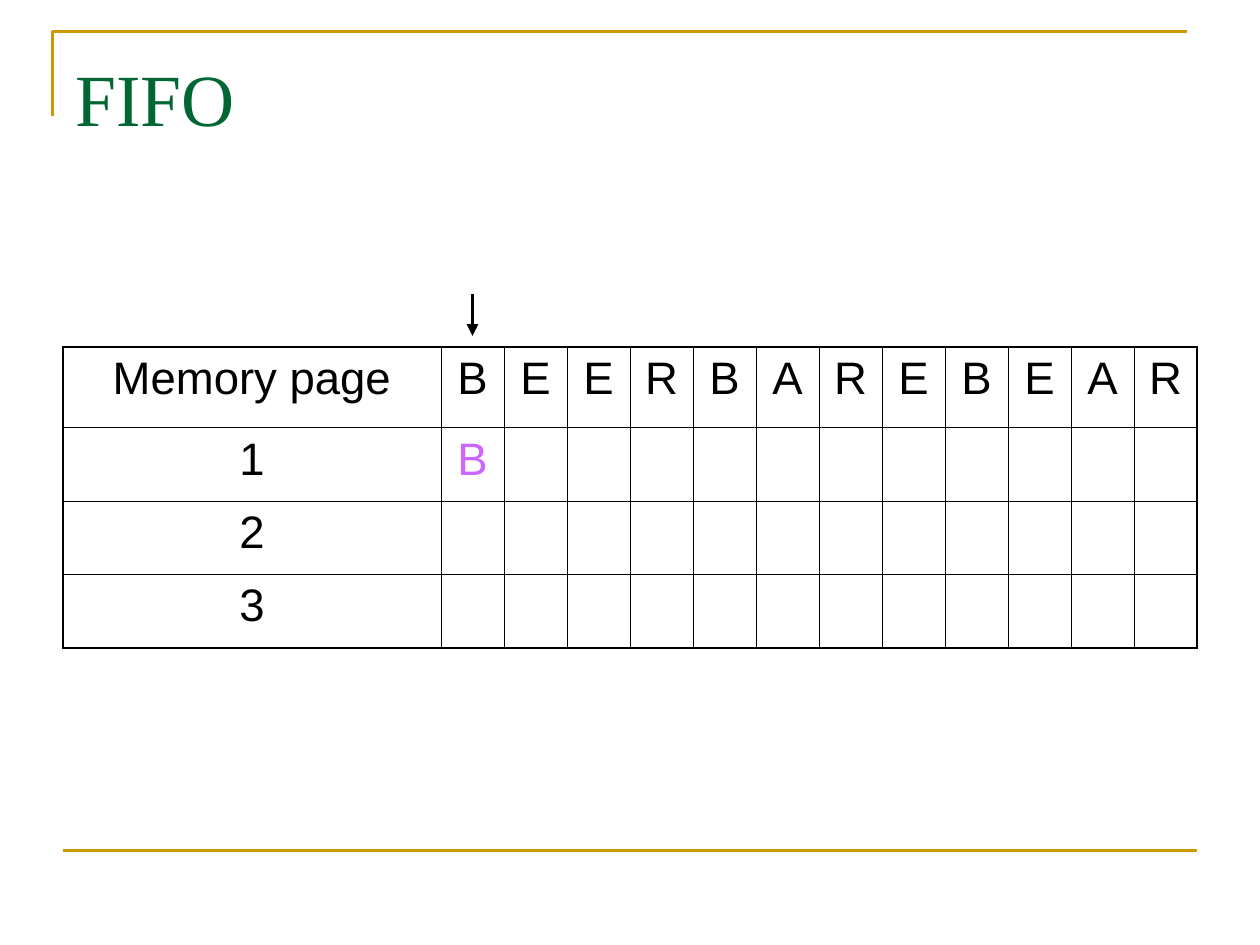
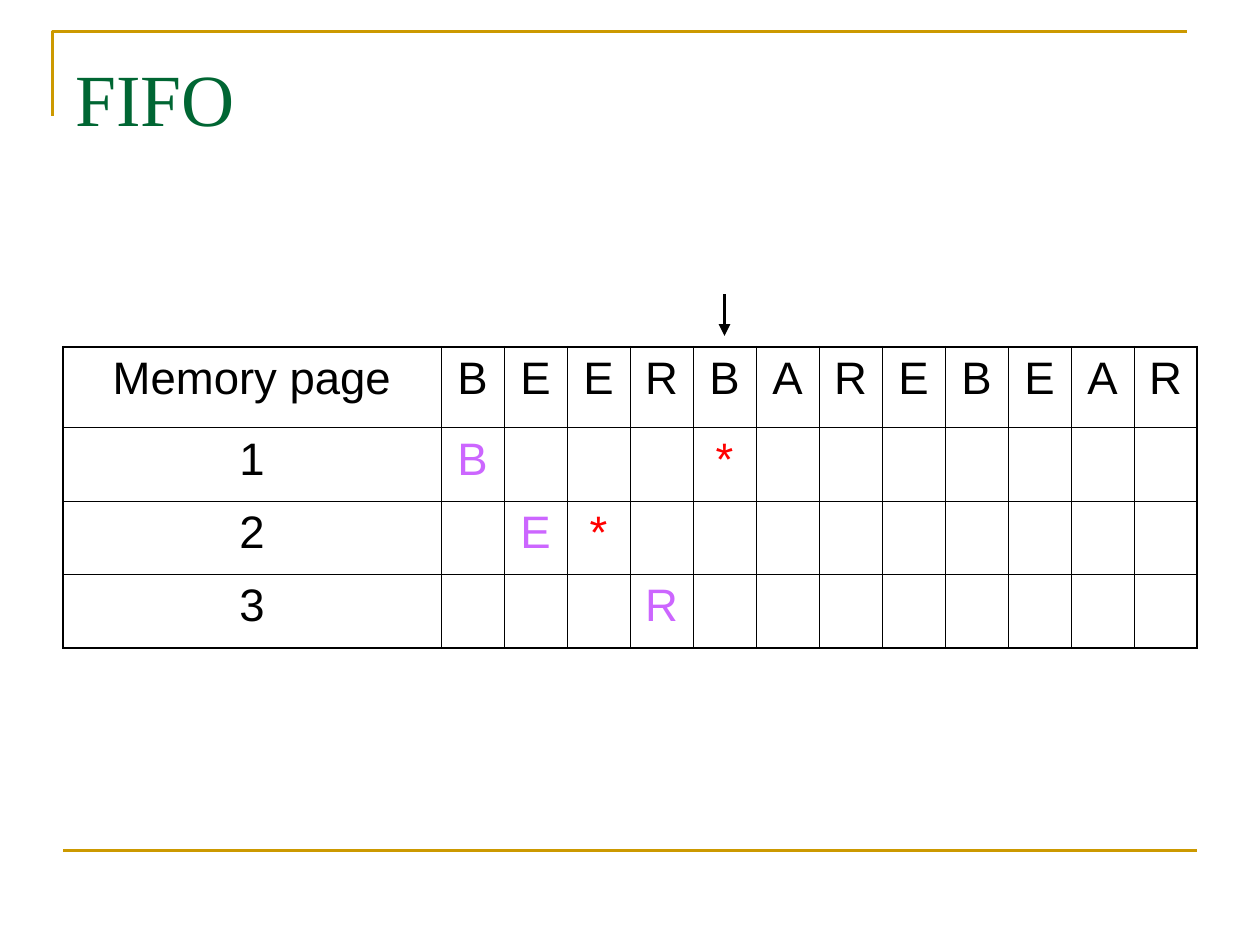
from dataclasses import dataclass

from lxml import etree
from pptx import Presentation
from pptx.dml.color import RGBColor
from pptx.enum import shapes, text
from pptx.oxml import ns
from pptx.util import Cm, Pt

REFERENCES = "BEERBAREBEAR"
FRAMES = 3
PLACEMENTS = [(1, "B"), (2, "E"), (2, "*"), (3, "R"), (1, "*")]
STEPS_SHOWN = [1, 5]


@dataclass(frozen=True)
class Theme:
    ink: str = "000000"
    rule: str = "CC9900"
    title: str = "006633"
    loaded: str = "CC66FF"
    hit: str = "FF0000"
    title_font: str = "Times New Roman"
    table_font: str = "Arial"
    title_size: float = 42
    table_size: float = 26
    rule_width: float = 1.5
    arrow_width: float = 2.25
    outer_border: float = 1.08
    inner_border: float = 0.45


class Deck:
    left, width = 1.27, 22.86
    table_top, label_width, step_width = 6.99, 7.62, 1.27
    header_height, frame_height = 1.63, 1.48

    def __init__(self, theme):
        self.theme = theme
        self.file = Presentation()
        self.file.slide_width, self.file.slide_height = Cm(25.4), Cm(19.05)
        self.page = None

    def add_page(self, title):
        self.page = self.file.slides.add_slide(self.file.slide_layouts[5])
        self.add_corner()
        self.add_line((self.left, 17.15), (self.left + self.width, 17.15),
                      self.theme.rule, self.theme.rule_width)
        self.add_title(title)

    def set_font(self, para, name, size, color):
        para.font.name, para.font.size = name, Pt(size)
        para.font.color.rgb = RGBColor.from_string(color)

    def add_title(self, title):
        box = self.page.shapes.title
        box.left, box.top, box.width, box.height = Cm(self.left), Cm(0.76), Cm(self.width), Cm(3.18)
        frame = box.text_frame
        frame.text = title
        frame.auto_size = text.MSO_AUTO_SIZE.NONE
        frame.vertical_anchor = text.MSO_ANCHOR.TOP
        frame.margin_top = Cm(0.3)
        para = frame.paragraphs[0]
        para.alignment = text.PP_ALIGN.LEFT
        self.set_font(para, self.theme.title_font, self.theme.title_size, self.theme.title)

    def add_corner(self):
        left, top, right, bottom = Cm(1.06), Cm(0.64), Cm(23.92), Cm(2.33)
        builder = self.page.shapes.build_freeform(left, bottom)
        builder.add_line_segments([(left, top), (right, top)], close=False)
        corner = builder.convert_to_shape()
        corner.shadow.inherit = False
        corner.fill.background()
        corner.line.color.rgb = RGBColor.from_string(self.theme.rule)
        corner.line.width = Pt(self.theme.rule_width)

    def add_line(self, start, end, color, width, arrow=False):
        points = [Cm(value) for value in (*start, *end)]
        line = self.page.shapes.add_connector(shapes.MSO_CONNECTOR.STRAIGHT, *points)
        line.line.color.rgb = RGBColor.from_string(color)
        line.line.width = Pt(width)
        if arrow:
            outline = line.line._get_or_add_ln()
            etree.SubElement(outline, ns.qn("a:tailEnd"), type="triangle")
        etree.SubElement(line._element.spPr, ns.qn("a:effectLst"))

    def add_step_arrow(self, step):
        x = self.left + self.label_width + (step - 0.5) * self.step_width
        self.add_line((x, 5.93), (x, 6.77), self.theme.ink, self.theme.arrow_width, arrow=True)

    def add_border(self, cell, side, width):
        line = etree.SubElement(cell._tc.get_or_add_tcPr(), ns.qn(f"a:ln{side}"), w=str(Pt(width)))
        fill = etree.SubElement(line, ns.qn("a:solidFill"))
        etree.SubElement(fill, ns.qn("a:srgbClr"), val=self.theme.ink)

    def add_cell_text(self, cell, words, color):
        para = cell.text_frame.paragraphs[0]
        para.text = words
        para.alignment = text.PP_ALIGN.CENTER
        self.set_font(para, self.theme.table_font, self.theme.table_size, color)

    def add_memory_table(self, placements):
        rows, columns = FRAMES + 1, len(REFERENCES) + 1
        height = self.header_height + FRAMES * self.frame_height
        table = self.page.shapes.add_table(rows, columns, Cm(self.left), Cm(self.table_top),
                                           Cm(self.width), Cm(height)).table
        table.first_row = table.horz_banding = False
        for index, column in enumerate(table.columns):
            column.width = Cm(self.step_width if index else self.label_width)
        for index, row in enumerate(table.rows):
            row.height = Cm(self.frame_height if index else self.header_height)

        contents = {(0, 0): ("Memory page", self.theme.ink)}
        for step, reference in enumerate(REFERENCES, 1):
            contents[0, step] = reference, self.theme.ink
        for frame in range(1, rows):
            contents[frame, 0] = str(frame), self.theme.ink
        for step, (frame, mark) in enumerate(placements, 1):
            contents[frame, step] = mark, self.theme.hit if mark == "*" else self.theme.loaded

        for row in range(rows):
            for column in range(columns):
                cell = table.cell(row, column)
                edges = {"L": column == 0, "R": column == columns - 1,
                         "T": row == 0, "B": row == rows - 1}
                for side, outer in edges.items():
                    self.add_border(cell, side,
                                    self.theme.outer_border if outer else self.theme.inner_border)
                cell.fill.background()
                if (row, column) in contents:
                    self.add_cell_text(cell, *contents[row, column])


def main():
    deck = Deck(Theme())
    for step in STEPS_SHOWN:
        deck.add_page("FIFO")
        deck.add_memory_table(PLACEMENTS[:step])
        deck.add_step_arrow(step)
    deck.file.save("out.pptx")


if __name__ == "__main__":
    main()
